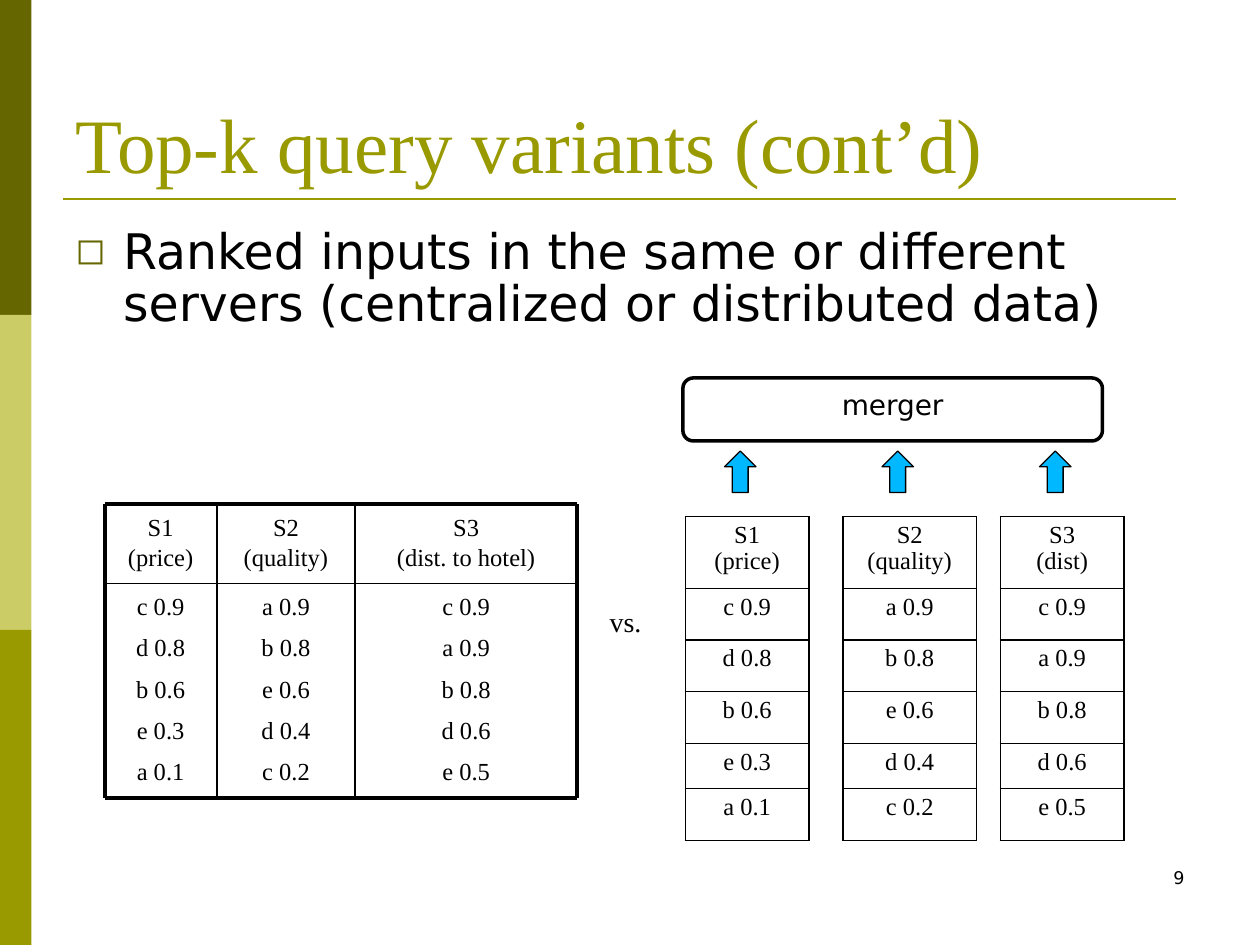
from lxml import etree
from pptx import Presentation
from pptx.dml.color import RGBColor
from pptx.enum.shapes import MSO_CONNECTOR as Connector, MSO_SHAPE as Shape
from pptx.enum.text import MSO_ANCHOR as Anchor, PP_ALIGN as Align
from pptx.oxml import parse_xml
from pptx.oxml.ns import nsdecls, qn
from pptx.util import Inches, Pt

COLORS = {
    "dark_olive": "666600",
    "pale_olive": "CCCC66",
    "olive": "999900",
    "arrow": "00B8FF",
    "black": "000000",
    "white": "FFFFFF",
}
SERIF, SANS = "Times New Roman", "DejaVu Sans"

PRICE = ["c 0.9", "d 0.8", "b 0.6", "e 0.3", "a 0.1"]
QUALITY = ["a 0.9", "b 0.8", "e 0.6", "d 0.4", "c 0.2"]
DISTANCE = ["c 0.9", "a 0.9", "b 0.8", "d 0.6", "e 0.5"]


def rgb(name):
    return RGBColor.from_string(COLORS[name])


def write(frame, texts, size, font=SERIF, color="black", align=Align.LEFT,
          before=0, spacing=None):
    """Fill a text frame with one paragraph per text."""
    for index, text in enumerate(texts):
        paragraph = frame.add_paragraph() if index else frame.paragraphs[0]
        paragraph.text = text
        paragraph.alignment = align
        paragraph.space_before = Pt(before)
        if spacing:
            paragraph.line_spacing = spacing
        paragraph.font.size = Pt(size)
        paragraph.font.name = font
        paragraph.font.color.rgb = rgb(color)


def add_text(shapes, box, texts, size, anchor=Anchor.TOP, wrap=True, **style):
    frame = shapes.add_textbox(*map(Inches, box)).text_frame
    frame.word_wrap = wrap
    frame.vertical_anchor = anchor
    write(frame, texts, size, **style)
    return frame


def add_box(shapes, kind, box, fill, line_width=None):
    shape = shapes.add_shape(kind, *map(Inches, box))
    shape.shadow.inherit = False
    shape.fill.solid()
    shape.fill.fore_color.rgb = rgb(fill)
    if line_width:
        shape.line.color.rgb = rgb("black")
        shape.line.width = Pt(line_width)
    else:
        shape.line.fill.background()
    return shape


def add_line(shapes, start, end, width, color="black"):
    line = shapes.add_connector(Connector.STRAIGHT, *map(Inches, start + end))
    line.line.color.rgb = rgb(color)
    line.line.width = Pt(width)
    etree.SubElement(line._element.spPr, qn("a:effectLst"))


def add_bullet(paragraph):
    properties = paragraph._p.get_or_add_pPr()
    properties.set("marL", str(Inches(0.38)))
    properties.set("indent", str(-Inches(0.38)))
    for xml in (
        f'<a:buClr {nsdecls("a")}><a:srgbClr val="{COLORS["dark_olive"]}"/></a:buClr>',
        f'<a:buSzPct {nsdecls("a")} val="75000"/>',
        f'<a:buFont {nsdecls("a")} typeface="{SANS}"/>',
        f'<a:buChar {nsdecls("a")} char="◻"/>',
    ):
        properties.append(parse_xml(xml))


def add_borders(cell):
    properties = cell._tc.get_or_add_tcPr()
    for index, side in enumerate("LRTB"):
        properties.insert(index, parse_xml(
            f'<a:ln{side} {nsdecls("a")} w="{Pt(1)}"><a:solidFill>'
            f'<a:srgbClr val="{COLORS["black"]}"/></a:solidFill></a:ln{side}>'))


def add_server_table(shapes, left, width, header, scores):
    heights = [0.57, 0.41, 0.41, 0.41, 0.36, 0.41]
    box = (left, 4.1, width, sum(heights))
    table = shapes.add_table(len(heights), 1, *map(Inches, box)).table
    table.first_row = table.horz_banding = False
    for row, height, text in zip(table.rows, heights, [header] + scores):
        row.height = Inches(height)
        cell = row.cells[0]
        cell.fill.background()
        write(cell.text_frame, [text], 14, align=Align.CENTER, spacing=0.95)
        add_borders(cell)


def add_central_grid(shapes):
    """Draw the three ranked lists that share one server."""
    edges = [0.83, 1.72, 2.82, 4.58]
    top, divider, bottom = 4, 4.63, 6.33
    columns = [("S1\n(price)", PRICE), ("S2\n(quality)", QUALITY),
               ("S3\n(dist. to hotel)", DISTANCE)]
    grid = shapes.add_group_shape().shapes
    style = {"align": Align.CENTER, "before": 6, "spacing": 1.05}
    for left, right, (header, scores) in zip(edges, edges[1:], columns):
        width = right - left
        add_text(grid, (left, top, width, divider - top), [header], 14, **style)
        add_text(grid, (left, divider, width, bottom - divider), scores, 14, **style)
    for y, weight in [(top, 2.25), (divider, 1), (bottom, 2.25)]:
        add_line(grid, (edges[0], y), (edges[-1], y), weight)
    for x, weight in zip(edges, [2.25, 1, 1, 2.25]):
        add_line(grid, (x, top), (x, bottom), weight)


def add_distributed_servers(shapes):
    servers = [(0.98, "S1\n(price)", PRICE), (1.06, "S2\n(quality)", QUALITY),
               (0.98, "S3\n(dist)", DISTANCE)]
    for index, (width, header, scores) in enumerate(servers):
        offset = 1.25 * index
        add_server_table(shapes, 5.44 + offset, width, header, scores)
        add_box(shapes, Shape.UP_ARROW, (5.75 + offset, 3.58, 0.25, 0.33), "arrow", 0.75)
    merger = add_box(shapes, Shape.ROUNDED_RECTANGLE, (5.42, 3, 3.33, 0.5), "white", 2)
    merger.text_frame.vertical_anchor = Anchor.TOP
    write(merger.text_frame, ["merger"], 16, font=SANS, align=Align.CENTER)


def add_frame(shapes):
    for index, color in enumerate(["dark_olive", "pale_olive", "olive"]):
        add_box(shapes, Shape.RECTANGLE, (0, 2.5 * index, 0.25, 2.5), color)
    add_line(shapes, (0.5, 1.58), (9.33, 1.58), 1.5, "olive")


def main():
    deck = Presentation()
    deck.slide_width, deck.slide_height = Inches(10), Inches(7.5)
    shapes = deck.slides.add_slide(deck.slide_layouts[6]).shapes

    add_frame(shapes)
    add_text(shapes, (0.5, 0.3, 9, 1.25), ["Top-k query variants (cont’d)"], 44,
             anchor=Anchor.BOTTOM, color="olive")
    statement = add_text(
        shapes, (0.5, 1.75, 9, 5.33),
        ["Ranked inputs in the same or different servers (centralized or distributed data)"],
        28, font=SANS, spacing=0.9)
    add_bullet(statement.paragraphs[0])
    add_central_grid(shapes)
    add_text(shapes, (4.74, 4.75, 0.6, 0.4), ["vs."], 16, wrap=False)
    add_distributed_servers(shapes)
    add_text(shapes, (7.17, 6.83, 2.33, 0.5), ["9"], 10, font=SANS, align=Align.RIGHT)

    deck.save("out.pptx")


if __name__ == "__main__":
    main()
